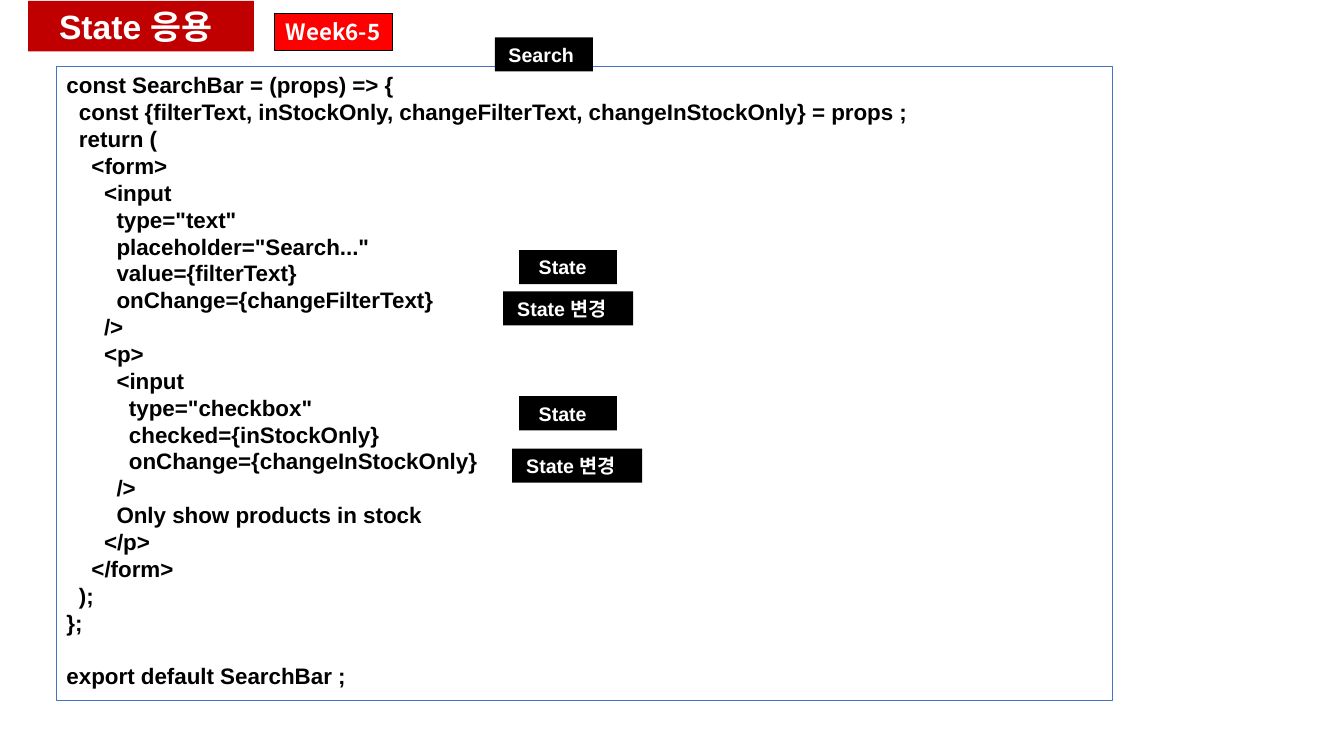
import pptx
import pptx.dml.color
import pptx.enum.shapes
import pptx.enum.text
import pptx.util

THEME = {
    "white": "FFFFFF", "black": "000000", "title": "C00000", "week": "FF0000",
    "frame": "4472C4", "font": "Arial", "week_font": "Noto Sans CJK KR",
    "title_size": 24, "code_size": 16, "label_size": 14, "code_leading": 19.2,
}

deck = pptx.Presentation()
deck.slide_width = pptx.util.Inches(13.33)
deck.slide_height = pptx.util.Inches(7.5)
slide = deck.slides.add_slide(deck.slide_layouts[6])

# The slide is a grid of 100 columns by 100 rows
COLUMN = deck.slide_width / 100
ROW = deck.slide_height / 100
INDENT = 0.93 * COLUMN
PADDING = 0.75 * COLUMN


def add_box(left, top, width, height, fill=None, line=None):
    """Add a rectangle placed in grid columns and rows."""
    box = slide.shapes.add_shape(
        pptx.enum.shapes.MSO_SHAPE.RECTANGLE, int(left * COLUMN), int(top * ROW),
        int(width * COLUMN), int(height * ROW))
    box.shadow.inherit = False
    for part, color in ((box.fill, fill), (box.line.fill, line)):
        if color:
            part.solid()
            part.fore_color.rgb = pptx.dml.color.RGBColor.from_string(THEME[color])
        else:
            part.background()
    if line:
        box.line.width = pptx.util.Pt(0.75)
    frame = box.text_frame
    frame.margin_left = frame.margin_right = int(PADDING)
    return box


def write(paragraph, text, size, color, font="font"):
    paragraph.text = text
    for run in paragraph.runs:
        run.font.name = THEME[font]
        run.font.size = pptx.util.Pt(THEME[size])
        run.font.bold = True
        run.font.color.rgb = pptx.dml.color.RGBColor.from_string(THEME[color])


week = add_box(20.4, 1.73, 8.78, 4.93, "week", "black")
week.text_frame.paragraphs[0].alignment = pptx.enum.text.PP_ALIGN.CENTER
write(week.text_frame.paragraphs[0], "Week6-5", "code_size", "white", "week_font")

# Indent level and text of each line of code
code_lines = [
    (0, "const SearchBar = (props) => {"),
    (1, "const {filterText, inStockOnly, changeFilterText, changeInStockOnly} = props ;"),
    (1, "return ("),
    (2, "<form>"),
    (3, "<input"),
    (4, 'type="text"'),
    (4, 'placeholder="Search..."'),
    (4, "value={filterText}"),
    (4, "onChange={changeFilterText}"),
    (3, "/>"),
    (3, "<p>"),
    (4, "<input"),
    (5, 'type="checkbox"'),
    (5, "checked={inStockOnly}"),
    (5, "onChange={changeInStockOnly}"),
    (4, "/>"),
    (4, "Only show products in stock"),
    (3, "</p>"),
    (2, "</form>"),
    (1, ");"),
    (0, "};"),
    (0, "export default SearchBar ;"),
]
code = add_box(4.2, 8.8, 78.55, 83.87, line="frame").text_frame
code.word_wrap = True
code.vertical_anchor = pptx.enum.text.MSO_ANCHOR.TOP
for number, (level, text) in enumerate(code_lines):
    line = code.add_paragraph() if number else code.paragraphs[0]
    write(line, text, "code_size", "black")
    line.alignment = pptx.enum.text.PP_ALIGN.LEFT
    line.line_spacing = pptx.util.Pt(THEME["code_leading"])
    line._p.get_or_add_pPr().set("marL", str(int(level * INDENT)))
# The export stands one line apart from the component
line.space_before = pptx.util.Pt(THEME["code_leading"])

# Text, left, top, width, height, extra right padding, fill, type size
tags = [
    ("State 응용", 2.1, 0.13, 16.8, 6.67, 0.8, "title", "title_size"),
    ("Search", 36.83, 4.93, 7.28, 4.53, 0.4, "black", "label_size"),
    ("State", 38.63, 33.07, 7.28, 4.53, 0.8, "black", "label_size"),
    ("State 변경", 37.43, 38.53, 9.68, 4.53, 0.9, "black", "label_size"),
    ("State", 38.63, 52.4, 7.28, 4.53, 0.8, "black", "label_size"),
    ("State 변경", 38.1, 59.33, 9.68, 4.53, 0.9, "black", "label_size"),
]
for text, left, top, width, height, extra, fill, size in tags:
    tag = add_box(left, top, width, height, fill).text_frame
    tag.word_wrap = False
    tag.margin_right = int(PADDING + extra * COLUMN)
    tag.paragraphs[0].alignment = pptx.enum.text.PP_ALIGN.CENTER
    write(tag.paragraphs[0], text, size, "white")

deck.save("out.pptx")
